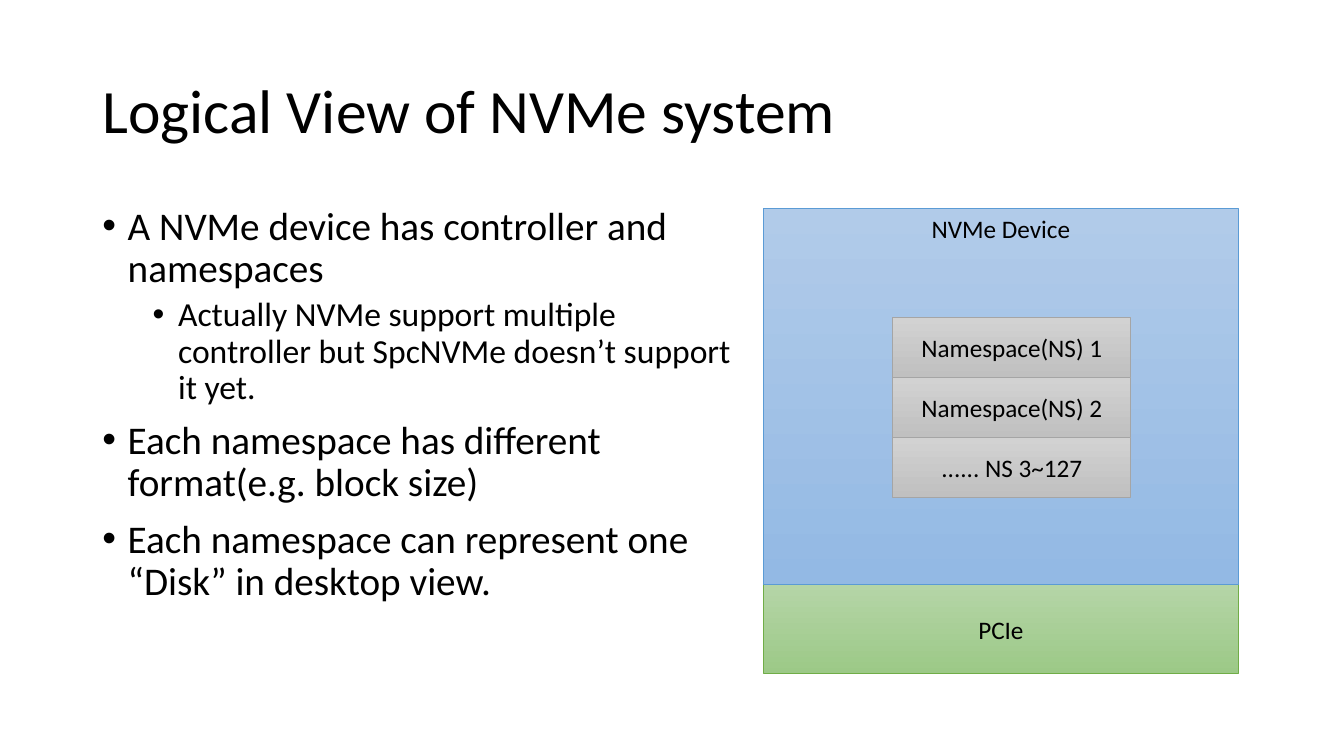
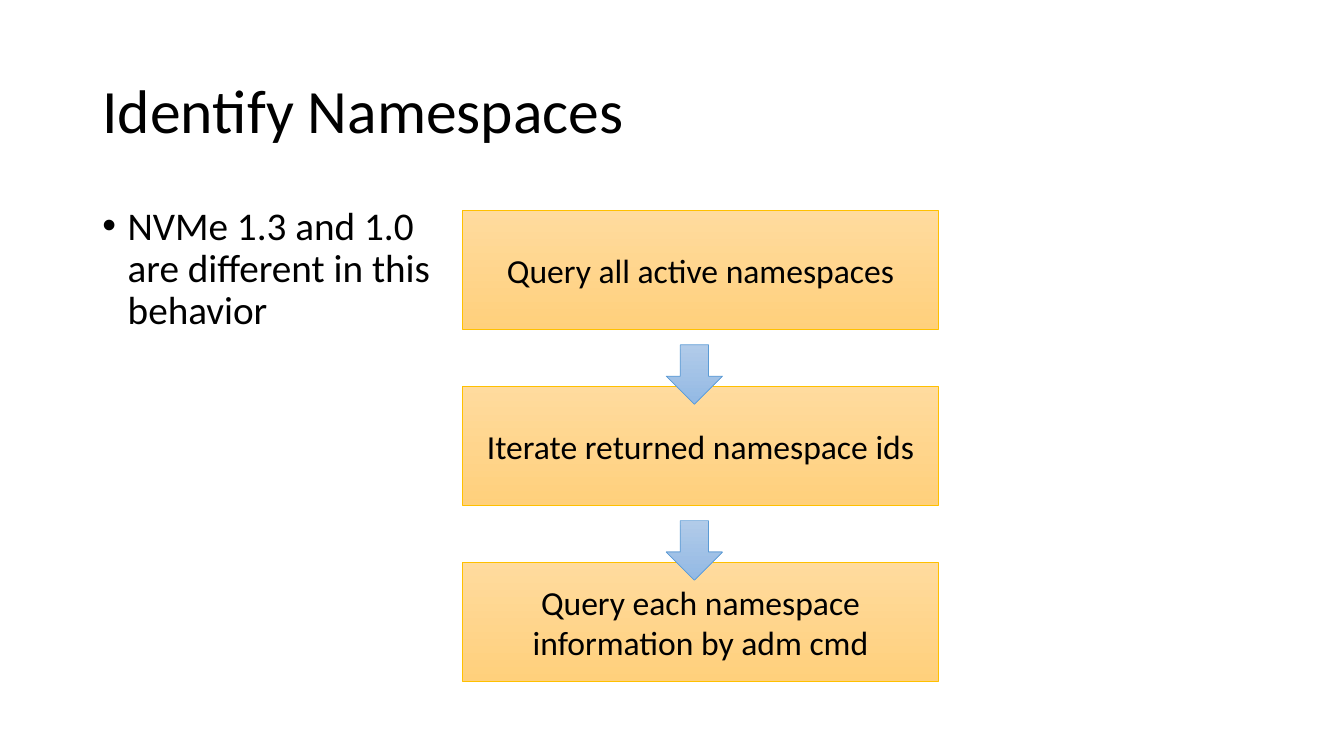
from lxml import etree
from pptx import Presentation
from pptx.dml.color import RGBColor
from pptx.enum.shapes import MSO_SHAPE as Shape
from pptx.enum.text import MSO_ANCHOR as Anchor, MSO_AUTO_SIZE as AutoSize, PP_ALIGN as Align
from pptx.oxml.ns import qn
from pptx.util import Cm, Pt

FONT = "Calibri"
TEXT_COLOR = "000000"
# Gradient top, gradient bottom, outline
COLORS = {
    "blue": ("B1CBE9", "93B9E4", "5B9BD5"),
    "green": ("B5D5A7", "9CC987", "70AD47"),
    "gray": ("D2D2D2", "C0C0C0", "A5A5A5"),
    "orange": ("FFDB9E", "FFD07C", "FFC000"),
}
# Per bullet level: left margin (cm), font size, space before
LEVELS = [(0.64, 28, 10), (1.91, 24, 5)]
HANGING = Cm(0.64)
LEFT = 2.33


def add_text_slide(title_text, body_width, bullets):
    """Add a slide with a title and a bulleted column on the left."""
    slide = presentation.slides.add_slide(presentation.slide_layouts[5])
    title = slide.shapes.title
    title.left, title.top, title.width, title.height = Cm(LEFT), Cm(1.01), Cm(29.21), Cm(3.68)
    title.text_frame.text = title_text
    title.text_frame.auto_size = AutoSize.NONE
    title.text_frame.vertical_anchor = Anchor.MIDDLE
    paragraph = title.text_frame.paragraphs[0]
    paragraph.alignment = Align.LEFT
    paragraph.line_spacing = 0.9
    paragraph.font.name, paragraph.font.size = FONT, Pt(44)
    paragraph.font.color.rgb = RGBColor.from_string(TEXT_COLOR)

    body = slide.shapes.add_textbox(Cm(LEFT), Cm(5.07), Cm(body_width), Cm(12.09))
    frame = body.text_frame
    frame.word_wrap = True
    for index, (level, text) in enumerate(bullets):
        paragraph = frame.add_paragraph() if index else frame.paragraphs[0]
        margin, size, space_before = LEVELS[level]
        paragraph.text = text
        paragraph.level = level
        paragraph.line_spacing = 0.9
        if index:
            paragraph.space_before = Pt(space_before)
        properties = paragraph._p.get_or_add_pPr()
        properties.set("marL", str(Cm(margin)))
        properties.set("indent", str(-HANGING))
        etree.SubElement(properties, qn("a:buFont")).set("typeface", "Arial")
        etree.SubElement(properties, qn("a:buChar")).set("char", "•")
        paragraph.font.name, paragraph.font.size = FONT, Pt(size)
        paragraph.font.color.rgb = RGBColor.from_string(TEXT_COLOR)
    return slide


def add_block(slide, kind, box, color, text="", size=18, anchor=Anchor.MIDDLE):
    """Add a gradient shape; box is left, top, width and height in cm."""
    shape = slide.shapes.add_shape(kind, *[Cm(length) for length in box])
    shape.shadow.inherit = False
    top_color, bottom_color, line_color = COLORS[color]
    shape.fill.gradient()
    shape.fill.gradient_angle = 270
    for stop, stop_color in zip(shape.fill.gradient_stops, (top_color, bottom_color)):
        stop.color.rgb = RGBColor.from_string(stop_color)
    shape.line.color.rgb = RGBColor.from_string(line_color)
    shape.line.width = Pt(0.5)
    if text:
        shape.text_frame.text = text
        shape.text_frame.word_wrap = True
        shape.text_frame.vertical_anchor = anchor
        paragraph = shape.text_frame.paragraphs[0]
        paragraph.alignment = Align.CENTER
        paragraph.font.name, paragraph.font.size = FONT, Pt(size)
        paragraph.font.color.rgb = RGBColor.from_string(TEXT_COLOR)


presentation = Presentation()
presentation.slide_width, presentation.slide_height = Cm(33.87), Cm(19.05)

# Slide 1: device diagram
slide = add_text_slide("Logical View of NVMe system", 16.56, [
    (0, "A NVMe device has controller and namespaces"),
    (1, "Actually NVMe support multiple controller but SpcNVMe doesn’t support it yet."),
    (0, "Each namespace has different format(e.g. block size)"),
    (0, "Each namespace can represent one “Disk” in desktop view."),
])
device_left, device_top, device_width, device_height = 19.23, 5.26, 11.99, 9.47
add_block(slide, Shape.RECTANGLE, (device_left, device_top + device_height, device_width, 2.24),
          "green", "PCIe")
add_block(slide, Shape.RECTANGLE, (device_left, device_top, device_width, device_height),
          "blue", "NVMe Device", anchor=Anchor.TOP)
row_height = 1.51
for row, text in enumerate(["Namespace(NS) 1", "Namespace(NS) 2", "...... NS 3~127"]):
    add_block(slide, Shape.RECTANGLE, (22.5, 8 + row * row_height, 6, row_height), "gray", text)

# Slide 2: query steps
slide = add_text_slide("Identify Namespaces", 9.02, [
    (0, "NVMe 1.3 and 1.0 are different in this behavior"),
])
steps = [
    "Query all active namespaces",
    "Iterate returned namespace ids",
    "Query each namespace information by adm cmd",
]
step_top, step_pitch = 5.31, 4.43
for index, text in enumerate(steps):
    add_block(slide, Shape.RECTANGLE, (11.66, step_top + index * step_pitch, 11.99, 3),
              "orange", text, size=24)

# Arrows lie over the boxes
for index in range(len(steps) - 1):
    add_block(slide, Shape.DOWN_ARROW, (16.79, step_top + 3.38 + index * step_pitch, 1.42, 1.5),
              "blue")

presentation.save("out.pptx")
